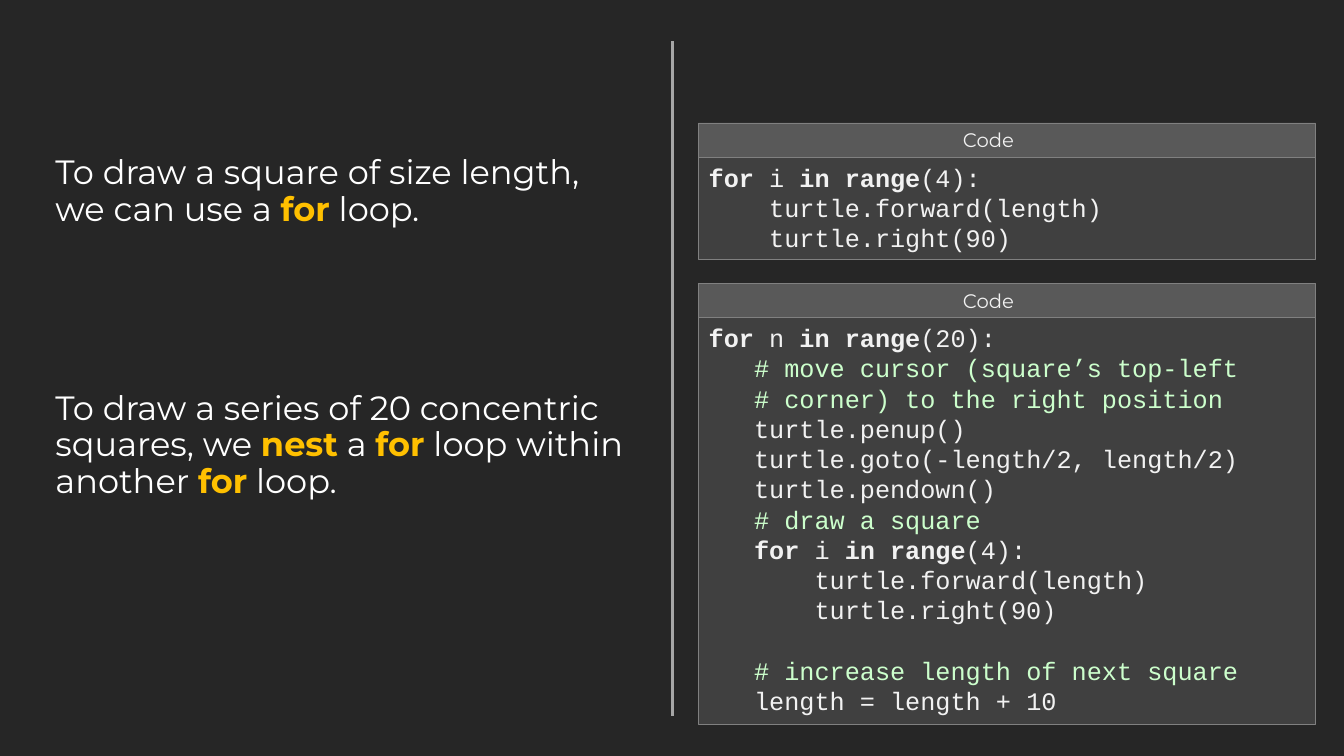
from dataclasses import dataclass

from lxml.etree import SubElement
from pptx import Presentation
from pptx.dml.color import RGBColor
from pptx.enum.shapes import MSO_CONNECTOR, MSO_SHAPE
from pptx.enum.text import MSO_ANCHOR, MSO_AUTO_SIZE, PP_ALIGN
from pptx.oxml.ns import qn
from pptx.util import Inches, Pt

CODE_FONT, TEXT_FONT = "Courier New", "Montserrat"
CODE_CHAR = 0.15  # width of one code character, inches
CODE_PITCH = Pt(21.6)

STYLES = {
    "plain": {"color": "FFFFFF", "bold": False},
    "accent": {"color": "FFC000", "bold": True},
    "code": {"color": "F2F2F2", "bold": False},
    "keyword": {"color": "F2F2F2", "bold": True},
    "comment": {"color": "CCFFCC", "bold": False},
}


@dataclass
class Span:
    text: str
    style: str = "code"


@dataclass
class CodeLine:
    indent: int
    spans: list[Span]
    gap_before: bool = False


@dataclass
class CodePanel:
    top: float
    body_height: float
    lines: list[CodeLine]


@dataclass
class Statement:
    top: float
    spans: list[Span]


def loop_line(indent: int, variable: str, count: int) -> CodeLine:
    return CodeLine(indent, [Span("for ", "keyword"), Span(f"{variable} "),
                             Span("in range", "keyword"), Span(f"({count}):")])


def code(indent: int, text: str) -> CodeLine:
    return CodeLine(indent, [Span(text)])


def comment(text: str, gap_before: bool = False) -> CodeLine:
    return CodeLine(3, [Span(text, "comment")], gap_before)


def square_loop(indent: int) -> list[CodeLine]:
    return [loop_line(indent, "i", 4),
            code(indent + 4, "turtle.forward(length)"),
            code(indent + 4, "turtle.right(90)")]


PANELS = [
    CodePanel(1.22, 1.01, square_loop(0)),
    CodePanel(2.81, 4.04, [
        loop_line(0, "n", 20),
        comment("# move cursor (square’s top-left"),
        comment("# corner) to the right position"),
        code(3, "turtle.penup()"),
        code(3, "turtle.goto(-length/2, length/2)"),
        code(3, "turtle.pendown()"),
        comment("# draw a square"),
        *square_loop(3),
        comment("# increase length of next square", gap_before=True),
        code(3, "length = length + 10"),
    ]),
]

STATEMENTS = [
    Statement(1.39, [
        Span("To draw a square of size length, we can use a ", "plain"),
        Span("for", "accent"), Span(" loop.", "plain")]),
    Statement(3.91, [
        Span("To draw a series of 20 concentric squares, we ", "plain"),
        Span("nest", "accent"), Span(" a ", "plain"), Span("for", "accent"),
        Span(" loop within another ", "plain"),
        Span("for", "accent"), Span(" loop.", "plain")]),
]


def paint(color_format, hex_color: str) -> None:
    color_format.rgb = RGBColor.from_string(hex_color)


def apply_format(target, values: dict) -> None:
    for name, value in values.items():
        setattr(target, name, value)


def add_spans(paragraph, spans: list[Span], font_name: str, size: int) -> None:
    for span in spans:
        run = paragraph.add_run()
        run.text = span.text
        style = STYLES[span.style]
        apply_format(run.font, {"name": font_name, "size": Pt(size), "bold": style["bold"]})
        paint(run.font.color, style["color"])


def add_box(shapes, top: float, height: float, fill: str):
    box = shapes.add_shape(MSO_SHAPE.RECTANGLE, Inches(6.93), Inches(top),
                           Inches(6.12), Inches(height))
    box.shadow.inherit = False
    box.fill.solid()
    paint(box.fill.fore_color, fill)
    paint(box.line.color, "808080")
    box.line.width = Pt(0.5)
    return box


def add_panel(slide, panel: CodePanel) -> None:
    header_height = 0.34
    shapes = slide.shapes.add_group_shape().shapes

    # Code body
    body = add_box(shapes, panel.top + header_height, panel.body_height, "404040")
    frame = body.text_frame
    apply_format(frame, {"word_wrap": True, "vertical_anchor": MSO_ANCHOR.TOP})
    for number, line in enumerate(panel.lines):
        paragraph = frame.add_paragraph() if number else frame.paragraphs[0]
        apply_format(paragraph, {
            "alignment": PP_ALIGN.LEFT, "line_spacing": CODE_PITCH,
            "space_before": CODE_PITCH if line.gap_before else Pt(0)})
        paragraph_format = paragraph._p.get_or_add_pPr()
        paragraph_format.set("marL", str(Inches(line.indent * CODE_CHAR)))
        add_spans(paragraph, line.spans, CODE_FONT, 18)

    # Header, its label a little left of centre
    header = add_box(shapes, panel.top, header_height, "595959")
    frame = header.text_frame
    apply_format(frame, {"word_wrap": True, "vertical_anchor": MSO_ANCHOR.MIDDLE,
                         "margin_right": Inches(0.47)})
    frame.paragraphs[0].alignment = PP_ALIGN.CENTER
    add_spans(frame.paragraphs[0], [Span("Code")], TEXT_FONT, 14)


def fill_statement(placeholder, statement: Statement) -> None:
    apply_format(placeholder, {"left": Inches(0.45), "top": Inches(statement.top),
                               "width": Inches(5.91), "height": Inches(1.03)})
    frame = placeholder.text_frame
    apply_format(frame, {"word_wrap": True, "auto_size": MSO_AUTO_SIZE.NONE,
                         "vertical_anchor": MSO_ANCHOR.MIDDLE})
    paragraph = frame.paragraphs[0]
    apply_format(paragraph, {"alignment": PP_ALIGN.LEFT, "line_spacing": 0.9,
                             "space_before": Pt(10)})
    paragraph_format = paragraph._p.get_or_add_pPr()
    for name in ("marL", "indent"):
        paragraph_format.set(name, "0")
    SubElement(paragraph_format, qn("a:buNone"))
    add_spans(paragraph, statement.spans, TEXT_FONT, 24)


def add_divider(slide) -> None:
    divider = slide.shapes.add_connector(MSO_CONNECTOR.STRAIGHT, Inches(6.67), Inches(7.1),
                                         Inches(6.67), Inches(0.41))
    paint(divider.line.color, "A6A6A6")
    divider.line.width = Pt(2)
    SubElement(divider._element.spPr, qn("a:effectLst"))


def main() -> None:
    presentation = Presentation()
    apply_format(presentation, {"slide_width": Inches(13.33), "slide_height": Inches(7.5)})
    slide = presentation.slides.add_slide(presentation.slide_layouts[3])

    # Dark background and divider
    slide.background.fill.solid()
    paint(slide.background.fill.fore_color, "262626")
    add_divider(slide)

    # Explanations on the left
    title, *explanations = slide.placeholders
    title._element.getparent().remove(title._element)
    for placeholder, statement in zip(explanations, STATEMENTS):
        fill_statement(placeholder, statement)

    # Code on the right
    for panel in PANELS:
        add_panel(slide, panel)

    presentation.save("out.pptx")


if __name__ == "__main__":
    main()
